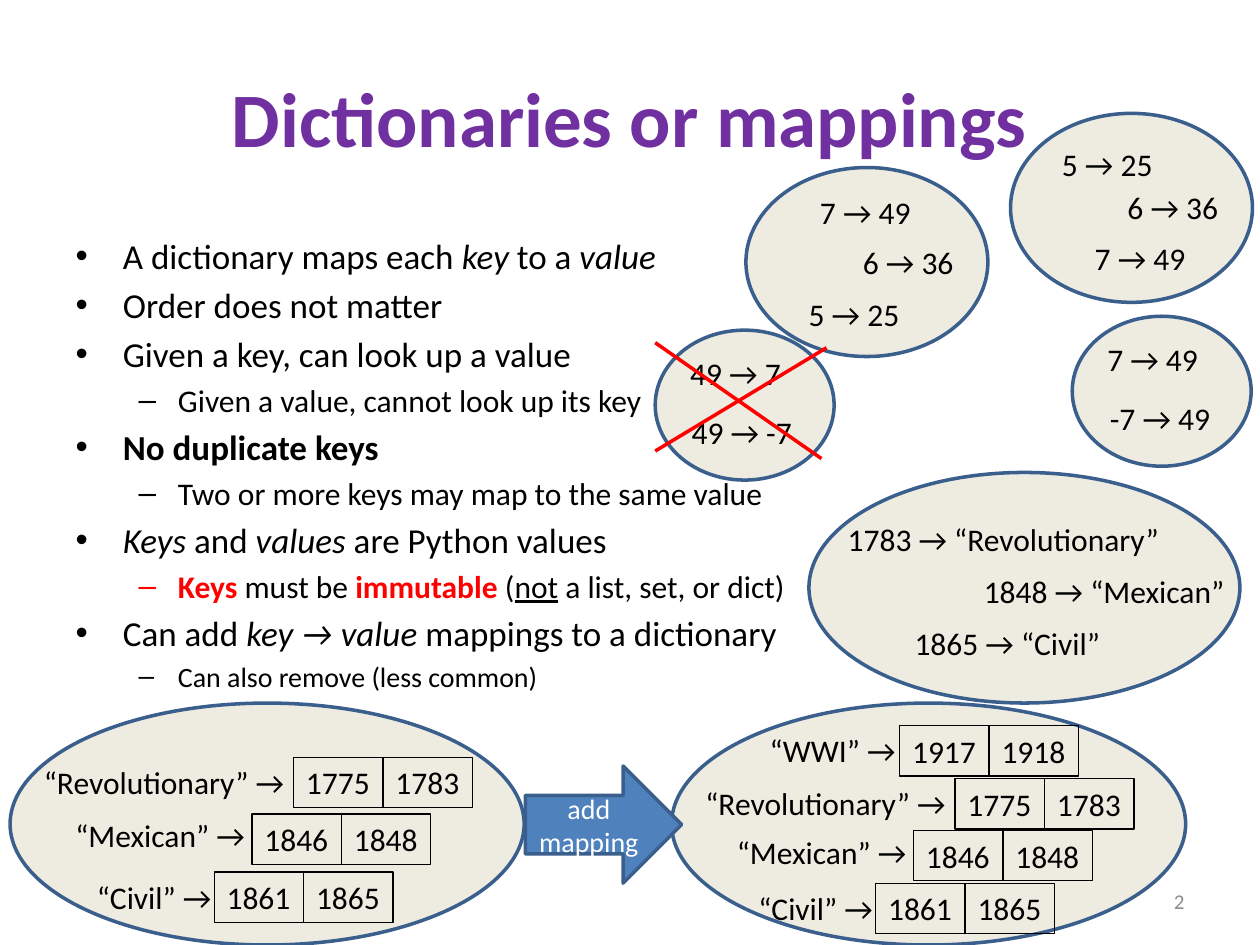
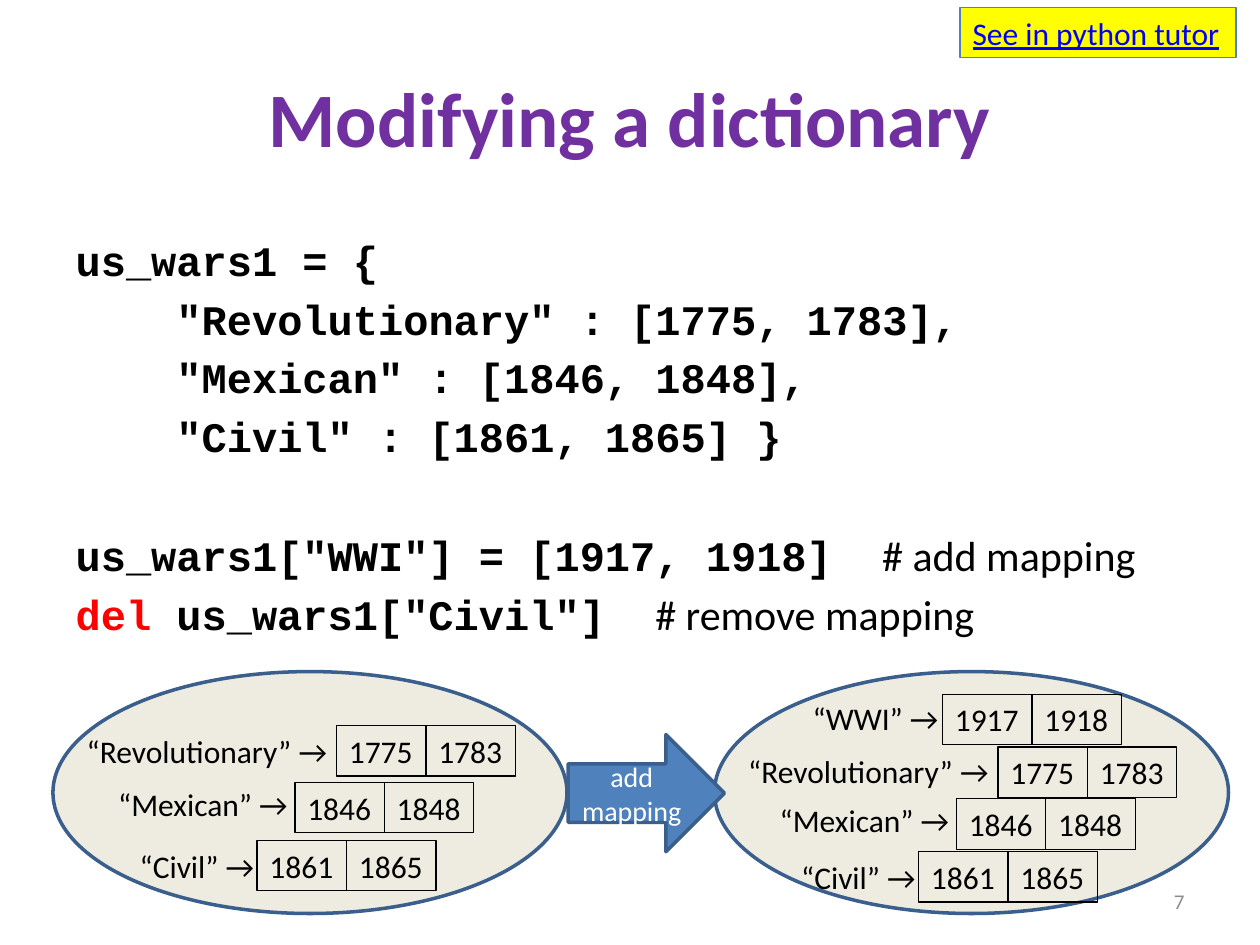
"""Build two slides on Python dictionaries: what they map, and how to modify one."""
from lxml import etree
from pptx import Presentation
from pptx.dml.color import RGBColor
from pptx.enum.shapes import MSO_CONNECTOR, MSO_SHAPE
from pptx.enum.text import MSO_ANCHOR, MSO_AUTO_SIZE, PP_ALIGN
from pptx.oxml.ns import qn
from pptx.util import Inches, Pt

OVAL = MSO_SHAPE.OVAL
RIGHT_ARROW = MSO_SHAPE.RIGHT_ARROW
STRAIGHT = MSO_CONNECTOR.STRAIGHT
MIDDLE = MSO_ANCHOR.MIDDLE
GROW = MSO_AUTO_SIZE.SHAPE_TO_FIT_TEXT
FIXED = MSO_AUTO_SIZE.NONE
CENTER = PP_ALIGN.CENTER
RIGHT = PP_ALIGN.RIGHT

COLORS = {name: RGBColor.from_string(value) for name, value in {
    "title": "7030A0", "text": "000000", "red": "FF0000", "oval": "EEECE1",
    "outline": "3A5F8C", "arrow": "4F81BD", "white": "FFFFFF",
    "number": "8C8C8C", "yellow": "FFFF00", "link": "0000FF",
}.items()}
TEXT_FONT = "Calibri"
CODE_FONT = "Courier New"
LABEL_HEIGHT = 0.4
YEAR_WIDTH = 0.71
MAP_SPACING = 5.25


def add_label(slide, left, top, width, text, size=18, color="text", line=None):
    """Add a one-line text box, outlined if a line colour is given."""
    label = slide.shapes.add_textbox(
        Inches(left), Inches(top), Inches(width), Inches(LABEL_HEIGHT))
    label.text_frame.word_wrap = False
    label.text_frame.auto_size = GROW
    paragraph = label.text_frame.paragraphs[0]
    paragraph.text = text
    paragraph.font.name = TEXT_FONT
    paragraph.font.size = Pt(size)
    paragraph.font.color.rgb = COLORS[color]
    if line:
        label.line.color.rgb = COLORS[line]
        label.line.width = Pt(0.75)
    return label


def add_figure(slide, kind, left, top, width, height, fill):
    """Add a filled shape with the shared blue outline."""
    shape = slide.shapes.add_shape(
        kind, Inches(left), Inches(top), Inches(width), Inches(height))
    shape.shadow.inherit = False
    shape.fill.solid()
    shape.fill.fore_color.rgb = COLORS[fill]
    shape.line.color.rgb = COLORS["outline"]
    shape.line.width = Pt(2)
    return shape


presentation = Presentation()
presentation.slide_width = Inches(10)
presentation.slide_height = Inches(7.5)

# name: years, label offset, label width, years offset
WARS = {
    "Revolutionary": (("1775", "1783"), 0.17, 2.13, 2.25),
    "Mexican": (("1846", "1848"), 0.42, 1.56, 1.92),
    "Civil": (("1861", "1865"), 0.59, 1.12, 1.62),
    "WWI": (("1917", "1918"), 0.68, 1.21, 1.81),
}
# war, label offset, years offset
MAPS = [
    [("Revolutionary", 0.43, 0.43), ("Mexican", 0.85, 0.88), ("Civil", 1.34, 1.34)],
    [("WWI", 0.17, 0.18), ("Revolutionary", 0.59, 0.6),
     ("Mexican", 0.98, 1.01), ("Civil", 1.43, 1.43)],
]
SLIDES = [
    ("Dictionaries or mappings", "2", 9, 5.49, 0.08, 5.58),
    ("Modifying a dictionary", "7", 9.25, 4.95, 0.42, 5.33),
]
slides = []
for title, number, body_width, body_height, map_left, map_top in SLIDES:
    slide = presentation.slides.add_slide(presentation.slide_layouts[1])
    slides.append(slide)
    heading, body = slide.placeholders
    heading.left, heading.top = Inches(0.5), Inches(0.3)
    heading.width, heading.height = Inches(9), Inches(1.25)
    heading.text_frame.vertical_anchor = MIDDLE
    paragraph = heading.text_frame.paragraphs[0]
    paragraph.text = title
    paragraph.alignment = CENTER
    paragraph.font.name = TEXT_FONT
    paragraph.font.size = Pt(44)
    paragraph.font.bold = True
    paragraph.font.color.rgb = COLORS["title"]
    body.left, body.top = Inches(0.5), Inches(1.81)
    body.width, body.height = Inches(body_width), Inches(body_height)
    body.text_frame.auto_size = FIXED

    for index, rows in enumerate(MAPS):
        left = map_left + index * MAP_SPACING
        add_figure(slide, OVAL, left, map_top, 4.08, 1.92, "oval")
        for war, label_top, years_top in rows:
            years, label_left, label_width, years_left = WARS[war]
            add_label(slide, left + label_left, map_top + label_top,
                      label_width, f"“{war}” →")
            for column, year in enumerate(years):
                add_label(slide, left + years_left + column * YEAR_WIDTH,
                          map_top + years_top, YEAR_WIDTH, year, line="text")

    arrow = add_figure(slide, RIGHT_ARROW, map_left + 4.09, map_top + 0.5,
                       1.24, 0.93, "arrow")
    arrow.text_frame.word_wrap = True
    arrow.text_frame.vertical_anchor = MIDDLE
    paragraph = arrow.text_frame.paragraphs[0]
    paragraph.text = "add mapping"
    paragraph.alignment = CENTER
    paragraph.font.name = TEXT_FONT
    paragraph.font.size = Pt(16)
    paragraph.font.color.rgb = COLORS["white"]

    page_number = add_label(slide, 7.17, 6.95, 2.33, number, 12, "number")
    page_number.text_frame.word_wrap = True
    page_number.text_frame.auto_size = FIXED
    page_number.text_frame.vertical_anchor = MIDDLE
    page_number.text_frame.paragraphs[0].alignment = RIGHT

concept_slide, code_slide = slides

# level, size, runs with style letters: b bold, i italic, u underlined, r red
BULLETS = [
    (0, 20, [("A dictionary maps each ", ""), ("key", "i"), (" to a ", ""), ("value", "i")]),
    (0, 20, [("Order does not matter", "")]),
    (0, 20, [("Given a key, can look up a value", "")]),
    (1, 18, [("Given a value, cannot look up its key", "")]),
    (0, 20, [("No duplicate keys", "b")]),
    (1, 18, [("Two or more keys may map to the same value", "")]),
    (0, 20, [("Keys", "i"), (" and ", ""), ("values", "i"), (" are Python values", "")]),
    (1, 18, [("Keys ", "br"), ("must be ", ""), ("immutable ", "br"), ("(", ""),
             ("not", "u"), (" a list, set, or dict)", "")]),
    (0, 20, [("Can add ", ""), ("key → value ", "i"), ("mappings to a dictionary", "")]),
    (1, 16, [("Can also remove (less common)", "")]),
]
frame = concept_slide.placeholders[1].text_frame
for index, (level, size, runs) in enumerate(BULLETS):
    paragraph = frame.add_paragraph() if index else frame.paragraphs[0]
    paragraph.level = level
    if index == 0:
        paragraph.space_before = Pt(0)
    paragraph.font.name = TEXT_FONT
    paragraph.font.size = Pt(size)
    for text, style in runs:
        run = paragraph.add_run()
        run.text = text
        run.font.bold = "b" in style
        run.font.italic = "i" in style
        run.font.underline = "u" in style
        run.font.color.rgb = COLORS["red" if "r" in style else "text"]

# oval left, top, width, height, then labels with left, top, width
EXAMPLES = [
    (8.02, 0.9, 1.92, 1.5, [("5 → 25", 8.33, 1.1, 0.93), ("7 → 49", 8.59, 1.85, 0.93),
                            ("6 → 36", 8.85, 1.44, 0.93)]),
    (6.42, 3.75, 3.42, 1.83, [("1783 → “Revolutionary”", 6.63, 4.08, 2.7),
                              ("1848 → “Mexican”", 7.71, 4.49, 2.13),
                              ("1865 → “Civil”", 7.16, 4.9, 1.69)]),
    (5.92, 1.33, 1.92, 1.5, [("5 → 25", 6.32, 2.29, 0.93), ("7 → 49", 6.41, 1.48, 0.93),
                             ("6 → 36", 6.75, 1.88, 0.93)]),
    (8.51, 2.51, 1.42, 1.19, [("7 → 49", 8.69, 2.65, 0.93), ("-7 → 49", 8.71, 3.12, 1.01)]),
    (5.2, 2.62, 1.42, 1.19, [("49 → 7", 5.38, 2.76, 0.93), ("49 → -7", 5.39, 3.23, 1.01)]),
]
for left, top, width, height, labels in EXAMPLES:
    add_figure(concept_slide, OVAL, left, top, width, height, "oval")
    for text, label_left, label_top, label_width in labels:
        add_label(concept_slide, label_left, label_top, label_width, text)

for ends in [(5.2, 2.72, 6.52, 3.64), (6.56, 2.76, 5.2, 3.58)]:
    cross_line = concept_slide.shapes.add_connector(STRAIGHT, *map(Inches, ends))
    cross_line.line.color.rgb = COLORS["red"]
    cross_line.line.width = Pt(2)
    etree.SubElement(cross_line._element.spPr, qn("a:effectLst"))

# keyword, code, comment
CODE_LINES = [
    ("", "us_wars1 = {", ""),
    ("", '    "Revolutionary" : [1775, 1783],', ""),
    ("", '    "Mexican" : [1846, 1848],', ""),
    ("", '    "Civil" : [1861, 1865] }', ""),
    ("", 'us_wars1["WWI"] = [1917, 1918]  ', "# add mapping"),
    ("del ", 'us_wars1["Civil"]  ', "# remove mapping"),
]
SPACE_BEFORE = {0: 0, 4: 39}
frame = code_slide.placeholders[1].text_frame
for index, parts in enumerate(CODE_LINES):
    paragraph = frame.add_paragraph() if index else frame.paragraphs[0]
    properties = paragraph._p.get_or_add_pPr()
    properties.set("marL", "0")
    properties.set("indent", "0")
    etree.SubElement(properties, qn("a:buNone"))
    if index in SPACE_BEFORE:
        paragraph.space_before = Pt(SPACE_BEFORE[index])
    paragraph.font.size = Pt(24)
    for role, text in zip(("keyword", "code", "comment"), parts):
        if text:
            run = paragraph.add_run()
            run.text = text
            run.font.name = TEXT_FONT if role == "comment" else CODE_FONT
            run.font.bold = role != "comment"
            run.font.color.rgb = COLORS["red" if role == "keyword" else "text"]

tutor_button = add_label(code_slide, 7.62, 0.06, 2.19, "See in python tutor",
                         color="link", line="arrow")
tutor_button.fill.solid()
tutor_button.fill.fore_color.rgb = COLORS["yellow"]
tutor_button.text_frame.paragraphs[0].font.underline = True

presentation.save("out.pptx")
